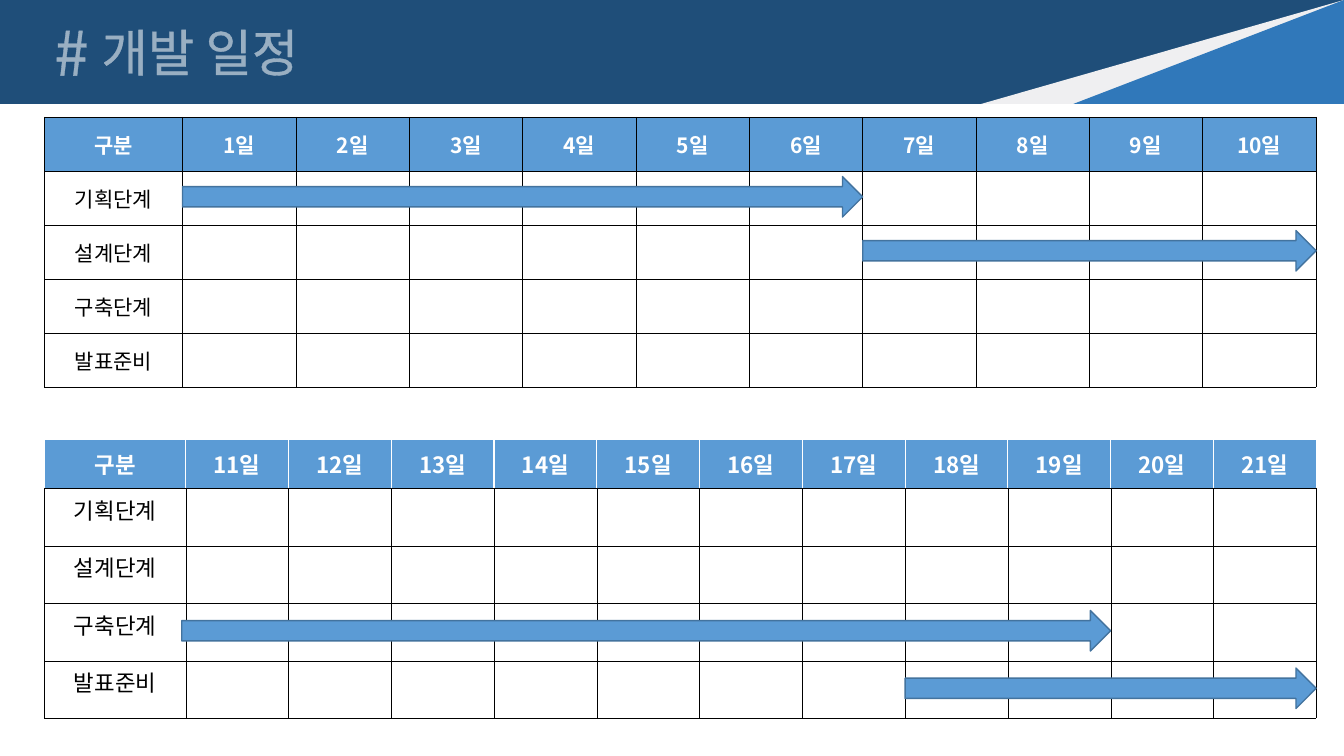
from lxml import etree
from pptx import Presentation
from pptx.dml.color import RGBColor
from pptx.enum.shapes import MSO_SHAPE as Shape
from pptx.enum.text import MSO_ANCHOR as Anchor, PP_ALIGN as Align
from pptx.oxml.ns import qn
from pptx.util import Cm, Pt

FONT = "Noto Sans CJK KR"
NAVY = RGBColor(0x1F, 0x4E, 0x79)
BLUE = RGBColor(0x30, 0x78, 0xBA)
SKY = RGBColor(0x5B, 0x9B, 0xD5)
STEEL = RGBColor(0x43, 0x73, 0x9E)
PALE = RGBColor(0xEF, 0xEF, 0xF1)
WHITE = RGBColor(0xFF, 0xFF, 0xFF)
BLACK = RGBColor(0, 0, 0)

PAGE_WIDTH, PAGE_HEIGHT = 33.87, 19.05
STAGES = ["기획단계", "설계단계", "구축단계", "발표준비"]


def set_font(para, size, color, bold=False):
    font = para.font
    font.size, font.bold, font.name = Pt(size), bold, FONT
    font.color.rgb = color
    # East Asian typeface follows the Latin one
    latin = font._element.find(qn("a:latin"))
    east_asian = etree.Element(qn("a:ea"), typeface=FONT)
    latin.addnext(east_asian)


def add_line(parent, tag, color, width, alpha=None):
    """Append a solid line element to parent and return it."""
    line = etree.SubElement(parent, qn(tag), w=str(Pt(width)))
    fill = etree.SubElement(line, qn("a:solidFill"))
    shade = etree.SubElement(fill, qn("a:srgbClr"), val=str(color))
    if alpha is not None:
        etree.SubElement(shade, qn("a:alpha"), val=str(alpha * 1000))
    return line


def add_block(page, kind, left, top, width, height, color, edge=None):
    block = page.shapes.add_shape(kind, Cm(left), Cm(top), Cm(width), Cm(height))
    block.shadow.inherit = False
    block.fill.solid()
    block.fill.fore_color.rgb = color
    if edge is None:
        block.line.fill.background()
    else:
        block.line.color.rgb = edge
        block.line.width = Pt(1)
    return block


def add_title_text(page, left, top, width, height, text, size):
    box = page.shapes.add_textbox(Cm(left), Cm(top), Cm(width), Cm(height))
    box.text_frame.word_wrap = False
    para = box.text_frame.paragraphs[0]
    para.text = text
    set_font(para, size, WHITE)
    # Translucent outline around the letters
    for span in para.runs:
        props = span.font._element
        span.font.color.rgb = WHITE
        props.insert(0, add_line(props, "a:ln", WHITE, 0.75, 55))


def add_banner(page, left, top, width, height):
    add_block(page, Shape.RECTANGLE, left, top, width, height, NAVY)
    # Corner wedges, flush with the right edge
    for wedge_width, color in [(9.14, PALE), (6.82, BLUE)]:
        wedge = add_block(page, Shape.RIGHT_TRIANGLE, left + width - wedge_width,
                          top, wedge_width, height, color)
        wedge._element.spPr.find(qn("a:xfrm")).set("flipH", "1")
    add_title_text(page, left + 1.12, top + 0.23, 1.42, 2.13, "#", 44)
    add_title_text(page, left + 2.31, top + 0.41, 5.54, 1.8, "개발 일정", 36)


def style_cell(cell, text, size, is_header, anchor, sides):
    cell.vertical_anchor = anchor
    if is_header:
        cell.fill.solid()
        cell.fill.fore_color.rgb = SKY
    else:
        cell.fill.background()
    para = cell.text_frame.paragraphs[0]
    para.text = text
    para.alignment = Align.CENTER
    set_font(para, size, WHITE if is_header else BLACK, is_header)
    # Borders come before the fill
    props = cell._tc.get_or_add_tcPr()
    for place, (tag, (color, width)) in enumerate(sides.items()):
        props.insert(place, add_line(props, tag, color, width))


def add_schedule(page, left, top, width, days, label_width, header_height,
                 row_height, size, header_edge, body_anchor, bars):
    """Bars are (stage index, first day, last day, lead before first day)."""
    day_width = (width - label_width) / len(days)
    row_count = len(STAGES) + 1
    height = header_height + row_height * len(STAGES)
    grid = page.shapes.add_table(row_count, len(days) + 1, Cm(left), Cm(top),
                                 Cm(width), Cm(height)).table
    grid.first_row = grid.horz_banding = False
    for index, column in enumerate(grid.columns):
        column.width = Cm(day_width if index else label_width)
    for index, row in enumerate(grid.rows):
        row.height = Cm(row_height if index else header_height)

    # Cells
    thin = (BLACK, 0.25)
    body_sides = dict.fromkeys(["a:lnL", "a:lnR", "a:lnT", "a:lnB"], thin)
    header_sides = {**dict.fromkeys(body_sides, header_edge), "a:lnB": thin}
    header = ["구분"] + [f"{day}일" for day in days]
    rows = [header] + [[stage] + [""] * len(days) for stage in STAGES]
    for r, texts in enumerate(rows):
        for c, text in enumerate(texts):
            style_cell(grid.cell(r, c), text, size, r == 0,
                       body_anchor if r else Anchor.MIDDLE,
                       body_sides if r else header_sides)

    # Arrows centred in their rows
    bar_height = 1.02
    for stage, first, last, lead in bars:
        start = left + label_width + (first - days[0]) * day_width - lead
        end = left + label_width + (last + 1 - days[0]) * day_width
        middle = top + header_height + (stage + 0.5) * row_height
        add_block(page, Shape.RIGHT_ARROW, start, middle - bar_height / 2 - 0.03,
                  end - start, bar_height, SKY, STEEL)


def main():
    deck = Presentation()
    deck.slide_width, deck.slide_height = Cm(PAGE_WIDTH), Cm(PAGE_HEIGHT)
    page = deck.slides.add_slide(deck.slide_layouts[6])
    add_schedule(page, 1.12, 2.95, 32.05, range(1, 11), 3.48, 1.36, 1.36, 15,
                 (BLACK, 0.25), Anchor.MIDDLE, [(0, 1, 6, 0), (1, 7, 10, 0)])
    add_schedule(page, 1.12, 11.08, 32.05, range(11, 22), 3.56, 1.22, 1.45, 16,
                 (WHITE, 1), Anchor.TOP, [(2, 11, 19, 0.1), (3, 18, 21, 0)])
    add_banner(page, 0, 0, PAGE_WIDTH, 2.62)
    deck.save("out.pptx")


if __name__ == "__main__":
    main()
